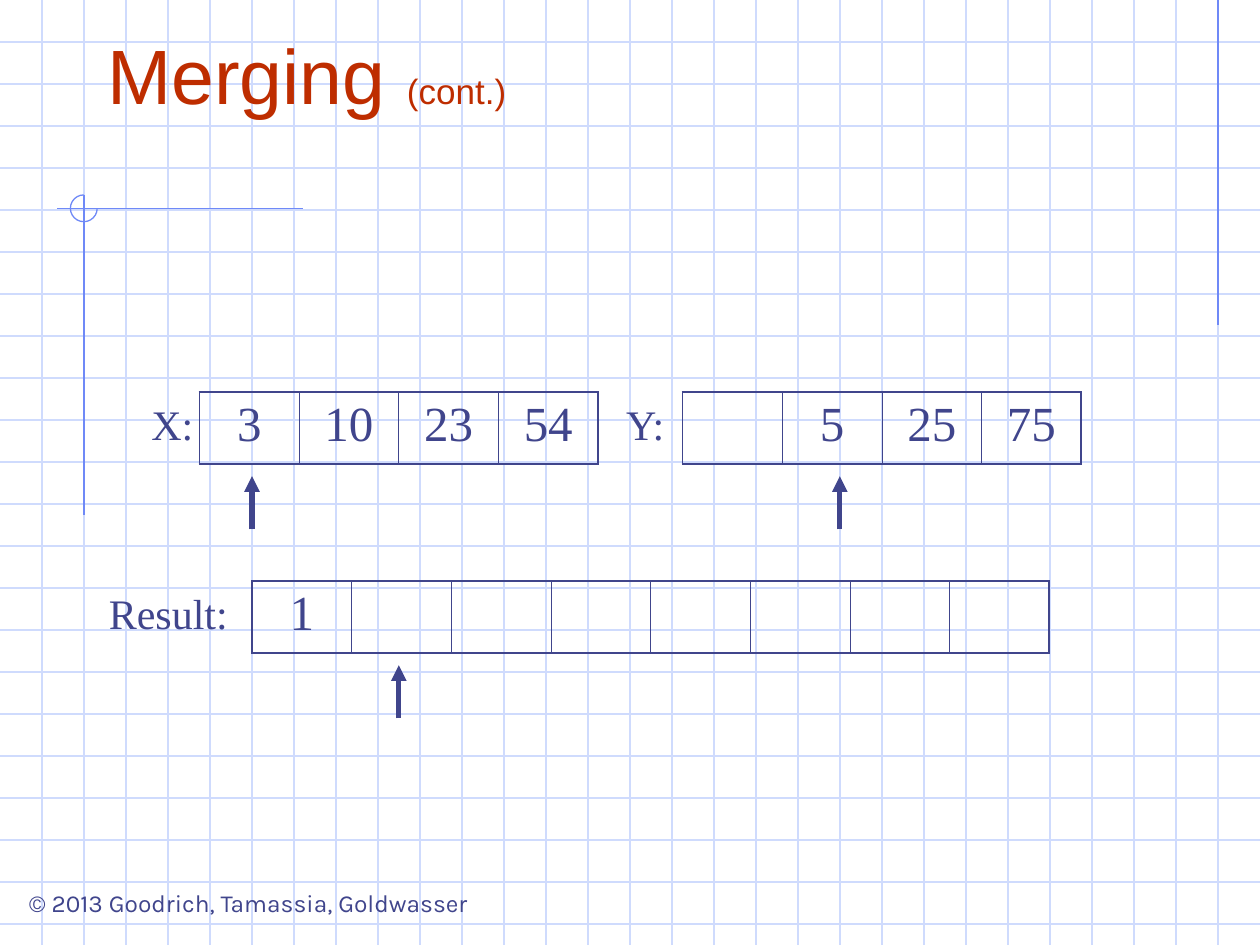
from lxml import etree
from pptx import Presentation
from pptx.dml.color import RGBColor
from pptx.enum.shapes import MSO_CONNECTOR, MSO_SHAPE
from pptx.enum.text import MSO_ANCHOR, PP_ALIGN
from pptx.oxml.ns import qn
from pptx.util import Cm, Pt

LINE = MSO_CONNECTOR.STRAIGHT
ARC = MSO_SHAPE.ARC
LEFT, CENTER = PP_ALIGN.LEFT, PP_ALIGN.CENTER
TOP, BOTTOM = MSO_ANCHOR.TOP, MSO_ANCHOR.BOTTOM

WIDTH, HEIGHT = 25.4, 19.05
STEP = WIDTH / 30
PALE, BLUE, NAVY, RED = "CFDBFD", "6F89F7", "40458C", "BE2D00"
SERIF = "Times New Roman"
CELL_W, CELL_H = 2.01, 1.45
THICK, THIN = 1.08, 0.45


def color(code):
    return RGBColor.from_string(code)


def add_line(slide, x1, y1, x2, y2, code, width=0.75, arrow=False):
    line = slide.shapes.add_connector(LINE, Cm(x1), Cm(y1), Cm(x2), Cm(y2))
    line.line.color.rgb = color(code)
    line.line.width = Pt(width)
    if arrow:
        etree.SubElement(line.line._get_or_add_ln(), qn("a:tailEnd"), type="triangle")
    etree.SubElement(line._element.spPr, qn("a:effectLst"))


def add_run(para, text, size, font, code):
    run = para.add_run()
    run.text = text
    run.font.size = Pt(size)
    run.font.name = font
    run.font.color.rgb = color(code)


def add_text(slide, x, y, w, h, runs, font, code, align=CENTER, anchor=TOP, wrap=True):
    frame = slide.shapes.add_textbox(Cm(x), Cm(y), Cm(w), Cm(h)).text_frame
    frame.word_wrap = wrap
    frame.vertical_anchor = anchor
    para = frame.paragraphs[0]
    para.alignment = align
    for text, size in runs:
        add_run(para, text, size, font, code)


def add_edge(cell, side, width):
    edge = etree.SubElement(cell._tc.get_or_add_tcPr(), qn("a:ln" + side), w=str(Pt(width)))
    fill = etree.SubElement(edge, qn("a:solidFill"))
    etree.SubElement(fill, qn("a:srgbClr"), val=NAVY)


def add_array(slide, x, y, values):
    count = len(values)
    table = slide.shapes.add_table(
        1, count, Cm(x), Cm(y), Cm(CELL_W * count), Cm(CELL_H)).table
    table.first_row = table.horz_banding = False
    for i, value in enumerate(values):
        table.columns[i].width = Cm(CELL_W)
        cell = table.cell(0, i)
        add_edge(cell, "L", THICK if i == 0 else THIN)
        add_edge(cell, "R", THICK if i == count - 1 else THIN)
        add_edge(cell, "T", THICK)
        add_edge(cell, "B", THICK)
        cell.fill.background()
        if value:
            para = cell.text_frame.paragraphs[0]
            para.alignment = CENTER
            add_run(para, value, 28, SERIF, NAVY)


def add_grid(slide):
    for i in range(1, 23):
        add_line(slide, 0, i * STEP, WIDTH, i * STEP, PALE)
    for i in range(1, 30):
        add_line(slide, i * STEP, 0, i * STEP, HEIGHT, PALE)


def add_marks(slide):
    add_line(slide, 29 * STEP, 0, 29 * STEP, 6.56, BLUE)
    add_line(slide, 6.1, 4.2, 1.14, 4.2, BLUE)
    add_line(slide, 2 * STEP, 3.93, 2 * STEP, 10.39, BLUE)
    # Three quarters of a circle, from the right round to the top
    arc = slide.shapes.add_shape(ARC, Cm(1.42), Cm(3.93), Cm(0.54), Cm(0.54))
    arc.adjustments[0], arc.adjustments[1] = 0, 162
    arc.shadow.inherit = False
    arc.fill.background()
    arc.line.color.rgb = color(BLUE)
    arc.line.width = Pt(0.75)


def main():
    deck = Presentation()
    deck.slide_width, deck.slide_height = Cm(WIDTH), Cm(HEIGHT)
    slide = deck.slides.add_slide(deck.slide_layouts[6])

    # Graph paper
    add_grid(slide)
    add_marks(slide)

    # Footer and title
    add_text(slide, 0.08, 17.78, 9.86, 0.86,
             [("© 2013 Goodrich, Tamassia, Goldwasser", 14)], "Karla", NAVY, wrap=False)
    add_text(slide, 1.91, 0.43, 21.59, 2.11,
             [("Merging ", 44), ("(cont.)", 20)], "Arial", RED, LEFT, BOTTOM)

    # Arrays: label, its left and width, array left, top, arrow position, values
    arrays = [
        ("X:", 2.74, 1.47, 4.02, 7.9, 5.08, ["3", "10", "23", "54"]),
        ("Y:", 12.27, 1.47, 13.76, 7.9, 16.93, ["", "5", "25", "75"]),
        ("Result:", 1.91, 2.97, 5.08, 11.71, 8.04, ["1"] + [""] * 7),
    ]
    for label, left, width, x, y, mark, values in arrays:
        add_array(slide, x, y, values)
        add_line(slide, mark, y + 2.77, mark, y + 1.7, NAVY, 3, arrow=True)
        add_text(slide, left, y, width, 1.27, [(label, 24)], SERIF, NAVY)

    deck.save("out.pptx")


if __name__ == "__main__":
    main()
